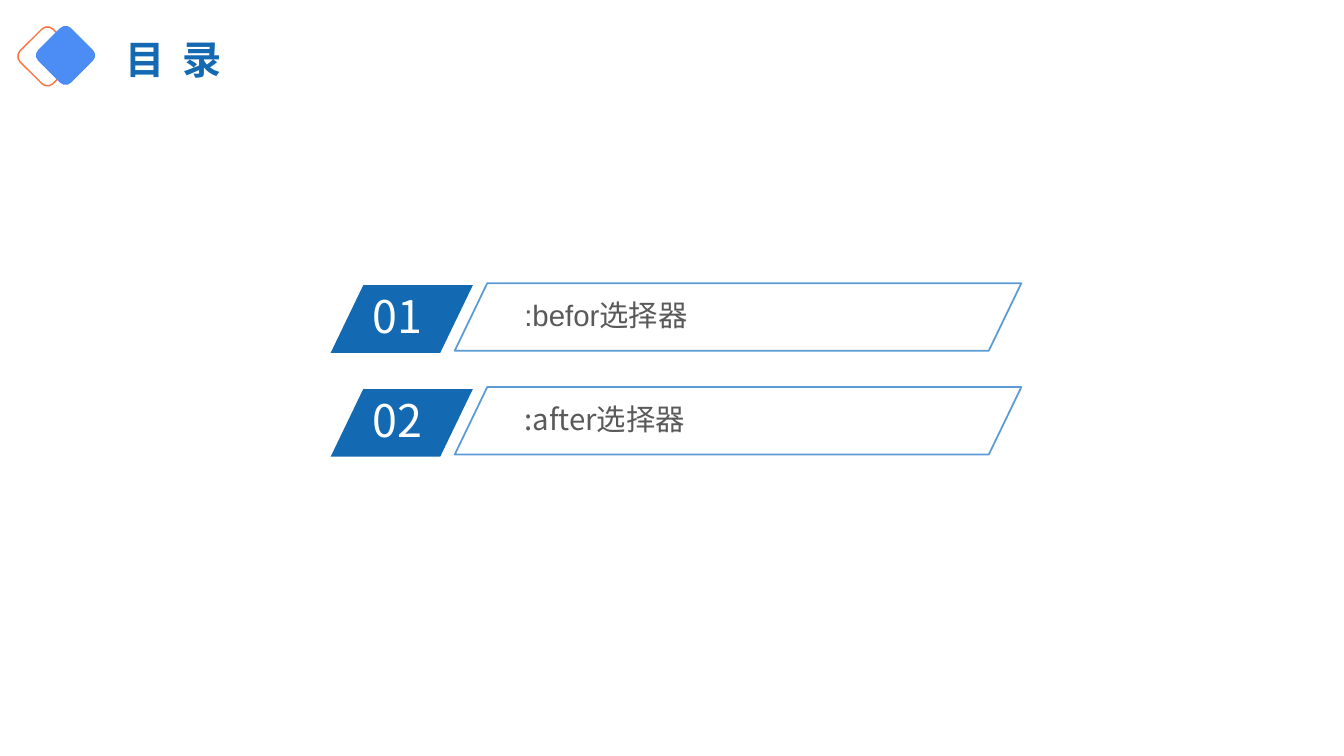
from lxml.etree import SubElement
from pptx import Presentation
from pptx.dml.color import RGBColor
from pptx.enum.shapes import MSO_SHAPE
from pptx.enum.text import MSO_AUTO_SIZE
from pptx.oxml.ns import qn
from pptx.util import Pt

PX = 9144  # EMU per px, 100 px to the inch
COLORS = {"blue": "1369B2", "outline": "5B9BD5", "grey": "595959",
          "white": "FFFFFF", "orange": "FD703B", "sky": "4C8CF5"}
CJK = "Noto Sans CJK SC"
ROW_TOP, ROW_STEP = 281, 103
ITEMS = [(":befor选择器", "Arial"), (":after选择器", CJK)]


def rgb(name):
    return RGBColor.from_string(COLORS[name])


class Deck:
    def __init__(self, width, height):
        self.prs = Presentation()
        self.prs.slide_width, self.prs.slide_height = width * PX, height * PX
        self.s = self.prs.slides.add_slide(self.prs.slide_layouts[6])

    def group(self):
        return self.s.shapes.add_group_shape().shapes

    def shape(self, parent, kind, box, fill=None, line=None, weight=1, adj=None, rotation=0):
        sp = parent.add_shape(kind, *(v * PX for v in box))
        sp.shadow.inherit = False
        sp.rotation = rotation
        if adj is not None:
            sp.adjustments[0] = adj
        if fill:
            sp.fill.solid()
            sp.fill.fore_color.rgb = rgb(fill)
        else:
            sp.fill.background()
        if line:
            sp.line.color.rgb = rgb(line)
            sp.line.width = Pt(weight)
        else:
            sp.line.fill.background()

    def text(self, parent, box, words, size, color, font=CJK, bold=False,
             inset=(10, 5), line_spacing=None, tracking=None):
        """Add a text box; tracking is the letter spacing in hundredths of a point."""
        tf = parent.add_textbox(*(v * PX for v in box)).text_frame
        dx, dy = (v * PX for v in inset)
        frame = {"word_wrap": True, "auto_size": MSO_AUTO_SIZE.SHAPE_TO_FIT_TEXT,
                 "margin_left": dx, "margin_right": dx,
                 "margin_top": dy, "margin_bottom": dy}
        for name, value in frame.items():
            setattr(tf, name, value)
        p = tf.paragraphs[0]
        p.line_spacing = line_spacing
        r = p.add_run()
        r.text = words
        for name, value in {"size": Pt(size), "bold": bold, "name": font}.items():
            setattr(r.font, name, value)
        r.font.color.rgb = rgb(color)
        props = r._r.get_or_add_rPr()
        SubElement(props, qn("a:ea")).set("typeface", CJK)
        if tracking:
            props.set("spc", str(tracking))

    def contents_row(self, number, top, words, font):
        row = self.group()
        slant = MSO_SHAPE.PARALLELOGRAM
        self.shape(row, slant, (328, top + 2, 141, 67), fill="blue", adj=0.482)
        self.text(row, (360, top + 1, 112, 64), f"{number:02d}", 32, "white")
        self.text(row, (513, top + 10, 469, 43), words, 21, "grey", font, inset=(7, 4))
        self.shape(row, slant, (451, top, 562, 67), line="outline", weight=1.25, adj=0.482)

    def heading(self, words):
        mark = self.group()
        tile = MSO_SHAPE.ROUNDED_RECTANGLE
        self.shape(mark, tile, (24, 33, 46, 46), line="orange", rotation=45)
        self.shape(mark, tile, (42, 32, 46, 46), fill="sky", rotation=45)
        self.text(self.s.shapes, (115, 35, 444, 52), words, 28, "blue", bold=True,
                  line_spacing=0.9, tracking=310)


def main():
    deck = Deck(1333, 750)
    for i, (words, font) in enumerate(ITEMS):
        deck.contents_row(i + 1, ROW_TOP + i * ROW_STEP, words, font)
    deck.heading("目 录")
    deck.prs.save("out.pptx")


if __name__ == "__main__":
    main()
